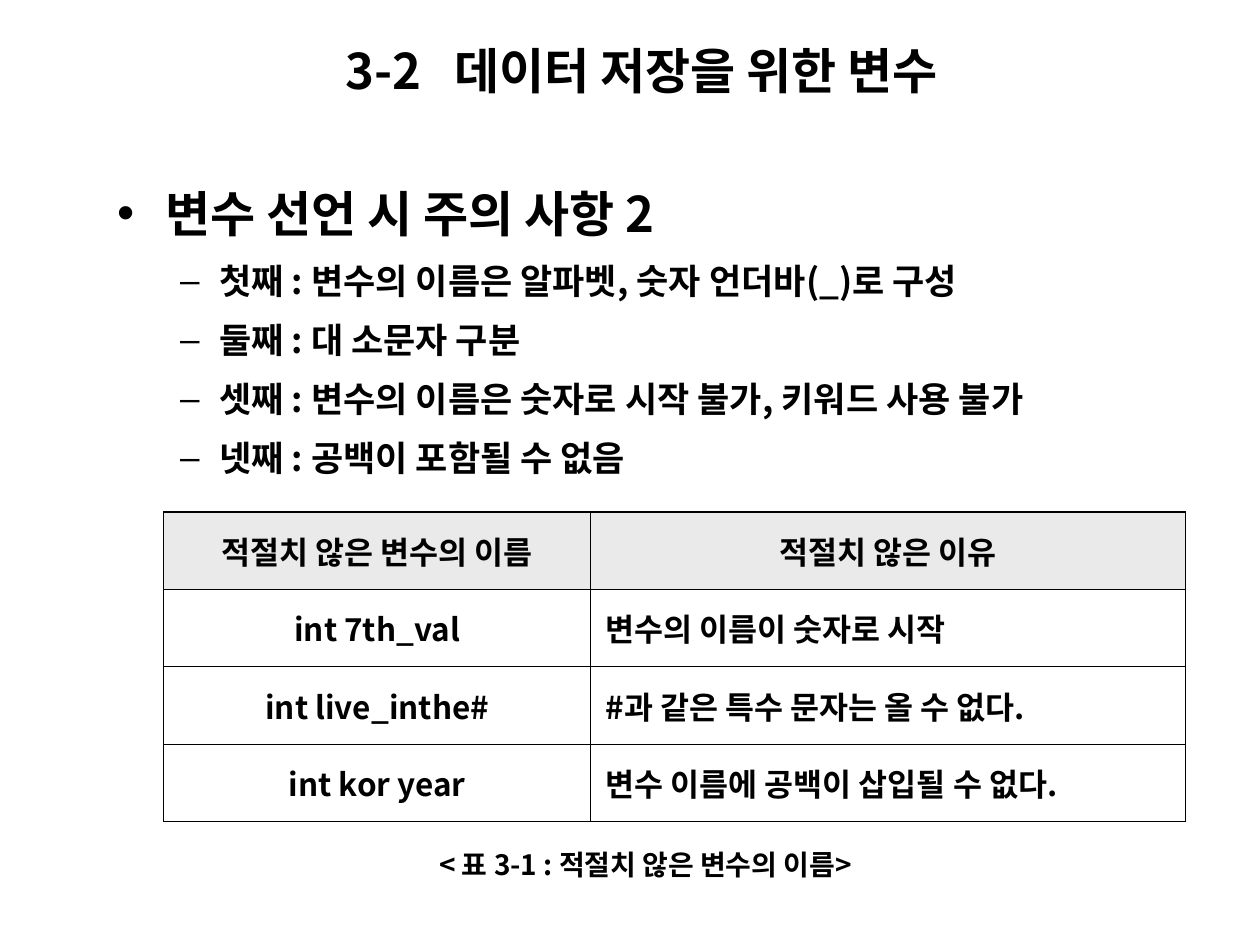
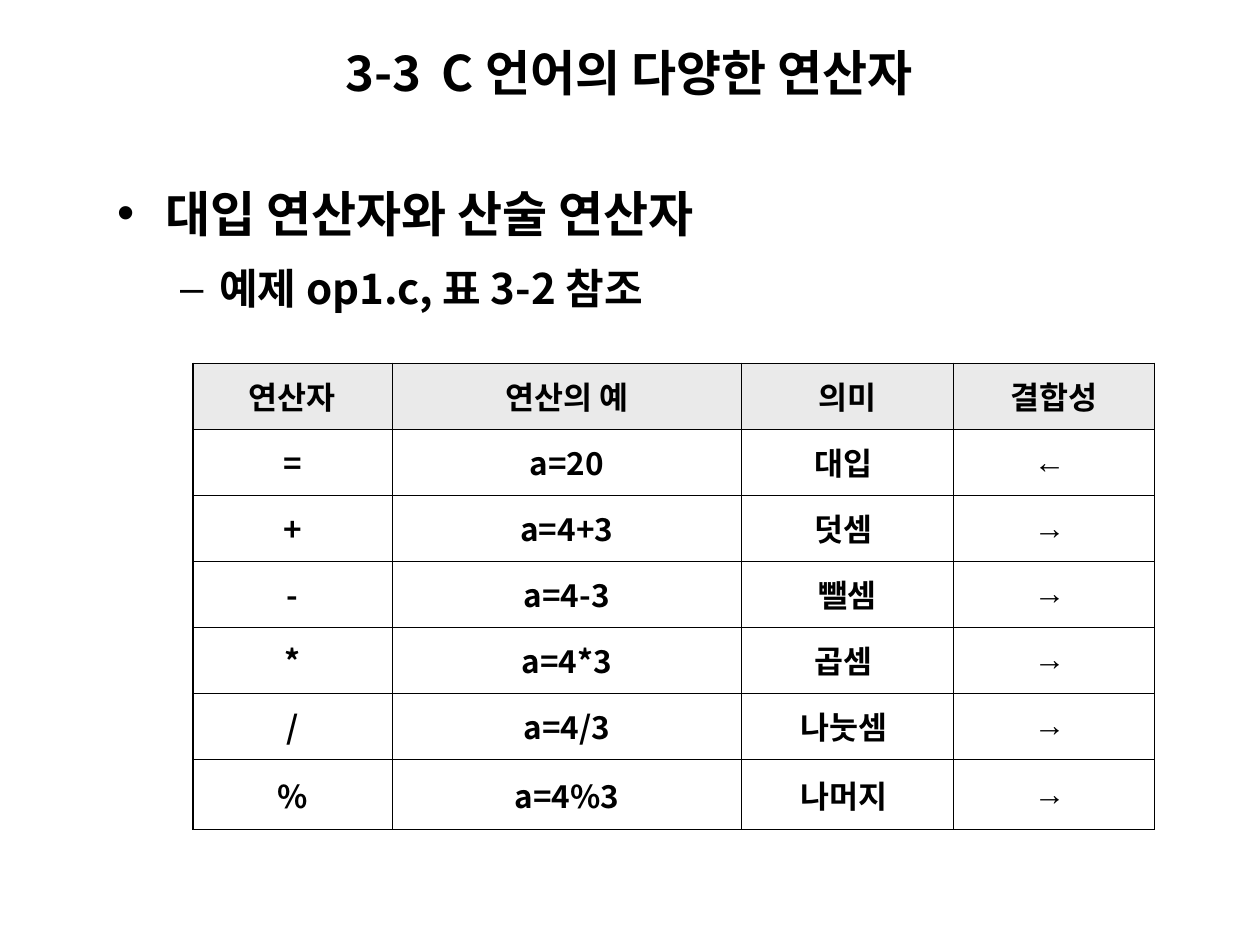
import dataclasses
import pptx
import pptx.dml.color
import pptx.enum.text
import pptx.oxml.ns
import pptx.util
import lxml.etree

Cm = pptx.util.Cm
Pt = pptx.util.Pt
Align = pptx.enum.text.PP_ALIGN
Anchor = pptx.enum.text.MSO_ANCHOR
qn = pptx.oxml.ns.qn

FACE = "Noto Sans CJK KR"
SIGN = "Arial"
INK = "000000"
HEAD = "EAEAEA"
THICK, THIN = 0.75, 0.45


@dataclasses.dataclass(frozen=True)
class Box:
    left: float
    top: float
    width: float
    height: float

    def size(self) -> tuple:
        return Cm(self.left), Cm(self.top), Cm(self.width), Cm(self.height)


@dataclasses.dataclass(frozen=True)
class Level:
    mark: str
    left: float
    hang: float
    gap: float


@dataclasses.dataclass(frozen=True)
class Item:
    text: str
    depth: int
    size: float


@dataclasses.dataclass(frozen=True)
class Grid:
    left: float
    top: float
    pad: float
    cols: tuple
    rows: tuple
    cells: tuple
    aligns: tuple


LEVELS = (Level("•", 0.97, 0.97, 7), Level("–", 2.06, 0.79, 0.25))


def tint(code: str) -> pptx.dml.color.RGBColor:
    return pptx.dml.color.RGBColor.from_string(code)


def add_tag(parent, name: str, **attrs: str):
    return lxml.etree.SubElement(parent, qn(f"a:{name}"), attrs)


def add_run(para, text: str, size: float, face: str = FACE) -> None:
    run = para.add_run()
    run.text = text
    font = run.font
    font.size, font.bold, font.name = Pt(size), True, face
    font.color.rgb = tint(INK)
    add_tag(run._r.get_or_add_rPr(), "ea", typeface=face)


def set_frame(frame, wrap: bool, anchor) -> None:
    frame.word_wrap = wrap
    frame.auto_size = pptx.enum.text.MSO_AUTO_SIZE.NONE
    frame.vertical_anchor = anchor
    frame.margin_left = frame.margin_right = Cm(0.25)
    frame.margin_top = frame.margin_bottom = Cm(0.13)


def add_slide(deck, num: str, name: str, stop: float, box: Box):
    slide = deck.slides.add_slide(deck.slide_layouts[5])
    title = slide.shapes.title
    title.left, title.top, title.width, title.height = box.size()
    set_frame(title.text_frame, True, Anchor.MIDDLE)
    para = title.text_frame.paragraphs[0]
    para.alignment = Align.LEFT
    tabs = add_tag(para._p.get_or_add_pPr(), "tabLst")
    add_tag(tabs, "tab", pos=str(Cm(stop)), algn="l")
    add_run(para, f"{num}\t{name}", 28)
    return slide


def add_list(slide, box: Box, items: list[Item]) -> None:
    frame = slide.shapes.add_textbox(*box.size()).text_frame
    set_frame(frame, True, Anchor.TOP)
    for pos, item in enumerate(items):
        level = LEVELS[item.depth]
        para = frame.add_paragraph() if pos else frame.paragraphs[0]
        para.level = item.depth
        para.line_spacing = 1.2
        if pos:
            para.space_before = Pt(item.size * level.gap)
        props = para._p.get_or_add_pPr()
        props.set("marL", str(Cm(level.left)))
        props.set("indent", str(-Cm(level.hang)))
        add_tag(add_tag(props, "buClr"), "srgbClr", val=INK)
        add_tag(props, "buFont", typeface=SIGN)
        add_tag(props, "buChar", char=level.mark)
        add_run(para, item.text, item.size)


def add_note(slide, box: Box, text: str) -> None:
    frame = slide.shapes.add_textbox(*box.size()).text_frame
    set_frame(frame, False, Anchor.MIDDLE)
    para = frame.paragraphs[0]
    para.alignment = Align.CENTER
    add_run(para, text, 16)


def add_edges(cell, edges: dict[str, bool]) -> None:
    props = cell._tc.get_or_add_tcPr()
    for side, outer in edges.items():
        width = Pt(THICK if outer else THIN)
        line = add_tag(props, f"ln{side}", w=str(width))
        add_tag(add_tag(line, "solidFill"), "srgbClr", val=INK)


def add_grid(slide, grid: Grid) -> None:
    rows, cols = len(grid.rows), len(grid.cols)
    box = Box(grid.left, grid.top, sum(grid.cols), sum(grid.rows))
    table = slide.shapes.add_table(rows, cols, *box.size()).table
    table.first_row = table.horz_banding = False
    for col, width in zip(table.columns, grid.cols):
        col.width = Cm(width)
    for row, height in zip(table.rows, grid.rows):
        row.height = Cm(height)
    for y, line in enumerate(grid.cells):
        for x, text in enumerate(line):
            cell = table.cell(y, x)
            cell.vertical_anchor = Anchor.MIDDLE
            cell.margin_left = cell.margin_right = Cm(grid.pad)
            cell.margin_top = cell.margin_bottom = Cm(0.13)
            add_edges(cell, {"L": x == 0, "R": x == cols - 1,
                             "T": y == 0, "B": y == rows - 1})
            if y:
                cell.fill.background()
            else:
                cell.fill.solid()
                cell.fill.fore_color.rgb = tint(HEAD)
            para = cell.text_frame.paragraphs[0]
            para.alignment = grid.aligns[x] if y else Align.CENTER
            add_run(para, text, 18, SIGN if text[0] in "←→" else FACE)


def add_names(deck) -> None:
    slide = add_slide(deck, "3-2", "데이터 저장을 위한 변수", 2.2,
                      Box(6.71, 0.69, 14.4, 1.45))
    rules = (
        "첫째 : 변수의 이름은 알파벳, 숫자 언더바(_)로 구성",
        "둘째 : 대 소문자 구분",
        "셋째 : 변수의 이름은 숫자로 시작 불가, 키워드 사용 불가",
        "넷째 : 공백이 포함될 수 없음",
    )
    add_list(slide, Box(2.11, 3.33, 22.6, 6.45),
             [Item("변수 선언 시 주의 사항 2", 0, 28)]
             + [Item(rule, 1, 20) for rule in rules])
    cells = (
        ("적절치 않은 변수의 이름", "적절치 않은 이유"),
        ("int 7th_val", "변수의 이름이 숫자로 시작"),
        ("int live_inthe#", "#과 같은 특수 문자는 올 수 없다."),
        ("int kor year", "변수 이름에 공백이 삽입될 수 없다."),
    )
    add_grid(slide, Grid(3.3, 10.32, 0.3, (8.61, 11.99), (1.56,) * 4,
                         cells, (Align.CENTER, Align.LEFT)))
    add_note(slide, Box(6.71, 16.92, 12.6, 1.02),
             "< 표 3-1 : 적절치 않은 변수의 이름>")


def add_signs(deck) -> None:
    slide = add_slide(deck, "3-3", "C 언어의 다양한 연산자", 1.95,
                      Box(6.71, 0.72, 14, 1.45))
    add_list(slide, Box(2.11, 3.33, 14.4, 3.1),
             [Item("대입 연산자와 산술 연산자", 0, 28),
              Item("예제 op1.c, 표 3-2 참조", 1, 24)])
    cells = (
        ("연산자", "연산의 예", "의미", "결합성"),
        ("=", "a=20", "대입 ", "← "),
        ("+", "a=4+3", "덧셈 ", "→ "),
        ("-", "a=4-3", "뺄셈", "→ "),
        ("*", "a=4*3", "곱셈 ", "→ "),
        ("/", "a=4/3", "나눗셈 ", "→ "),
        ("%", "a=4%3", "나머지 ", "→ "),
    )
    add_grid(slide, Grid(3.89, 7.32, 0.25, (4.01, 7.05, 4.27, 4.06),
                         (1.33,) * 6 + (1.43,), cells, (Align.CENTER,) * 4))


def main() -> None:
    deck = pptx.Presentation()
    deck.slide_width, deck.slide_height = Cm(25.4), Cm(19.05)
    add_names(deck)
    add_signs(deck)
    deck.save("out.pptx")


if __name__ == "__main__":
    main()
